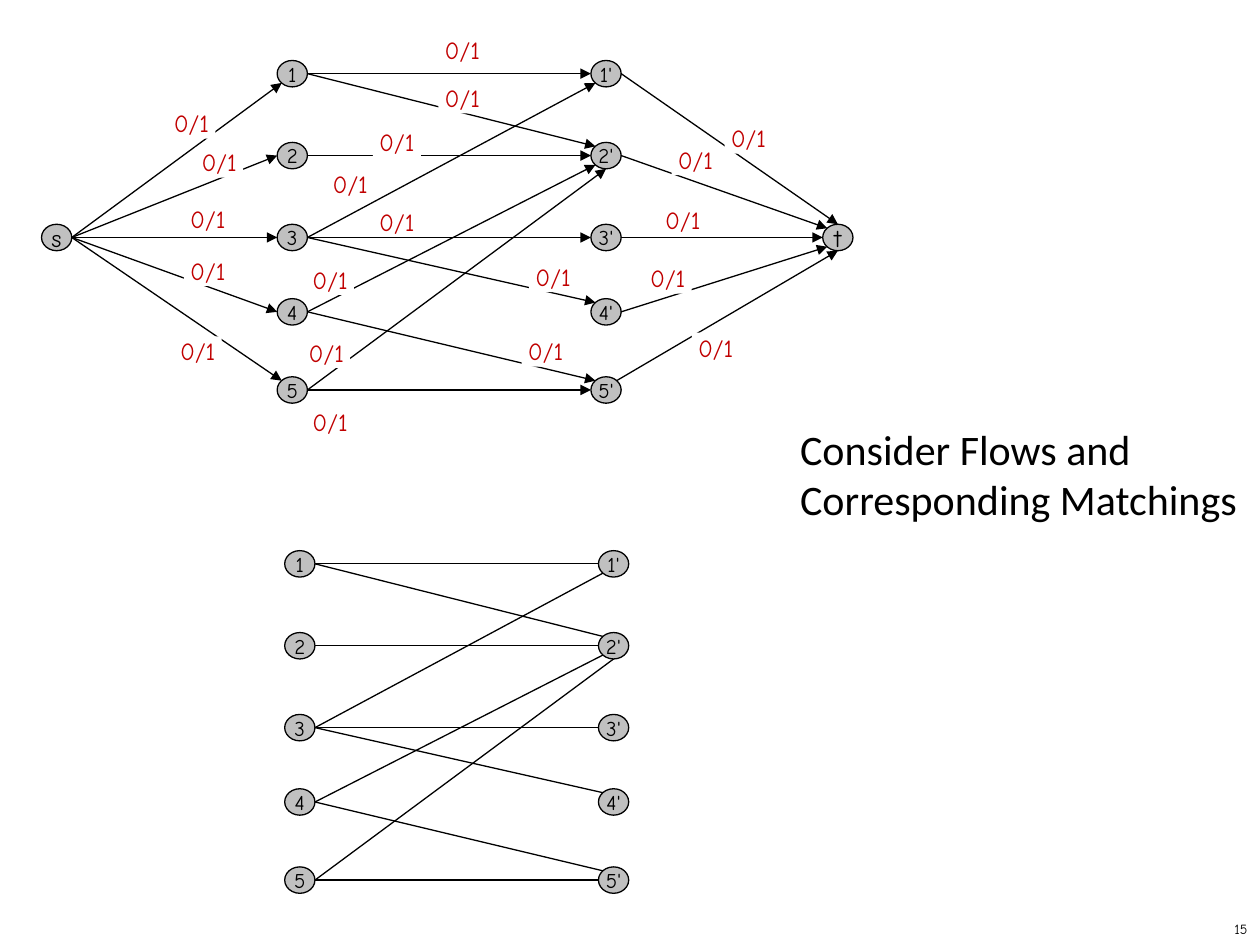
from pptx import Presentation
from pptx.dml.color import RGBColor
from pptx.enum import shapes as es, text as et
from pptx.oxml import parse_xml
from pptx.oxml.ns import nsdecls, qn
from pptx.util import Inches, Pt

BLACK = RGBColor(0, 0, 0)
WHITE = RGBColor(255, 255, 255)
GREY = RGBColor(0xC0, 0xC0, 0xC0)
RED = RGBColor(0xC0, 0, 0)
HAND, SANS = "Comic Neue", "Calibri"

NODE_W, NODE_H = 0.24, 0.21
ROWS = [0, 0.65, 1.3, 1.89, 2.51]
GAP = 2.49
# Points on a node's rim, as shares of its width and height
RIM = {"top": (0.5, 0), "left": (0, 0.5), "base": (0.5, 1), "right": (1, 0.5),
       "upleft": (0.15, 0.15), "lowleft": (0.15, 0.85), "upright": (0.85, 0.15)}

# From, to, and the rim point where the edge arrives
PAIRS = [("1", "1'", "left"), ("1", "2'", "upleft"), ("2", "2'", "left"),
         ("3", "1'", "lowleft"), ("3", "3'", "left"), ("3", "4'", "upleft"),
         ("4", "2'", "lowleft"), ("4", "5'", "upleft"),
         ("5", "2'", "base"), ("5", "5'", "left")]
OUTER = [("s", "1", "lowleft"), ("s", "2", "left"), ("s", "3", "left"),
         ("s", "4", "left"), ("s", "5", "upleft"),
         ("1'", "t", "top"), ("2'", "t", "upleft"), ("3'", "t", "left"),
         ("4'", "t", "lowleft"), ("5'", "t", "base", "upright")]

# Left and top of each flow label, from the corner of the network
LABELS = [(1.0, 0.38), (1.22, 0.69), (1.13, 1.14), (1.13, 1.55), (1.05, 2.19),
          (3.15, -0.2), (3.15, 0.18), (2.63, 0.53), (2.26, 0.86), (2.63, 1.16),
          (2.1, 1.62), (2.07, 2.2), (2.1, 2.75), (3.87, 1.6), (3.81, 2.19),
          (5.42, 0.5), (5.0, 0.67), (4.9, 1.15), (4.78, 1.61), (5.16, 2.16)]


def write(frame, words, size, font, color, align):
    """Put words in a frame, in one style."""
    frame.text = words
    for par in frame.paragraphs:
        par.alignment = align
        par.font.size = Pt(size)
        par.font.name = font
        par.font.color.rgb = color


def add_node(parts, name, left, top, size=12):
    """Draw a named node and return its corner."""
    node = parts.add_shape(es.MSO_SHAPE.OVAL, Inches(left), Inches(top),
                           Inches(NODE_W), Inches(NODE_H))
    node.shadow.inherit = False
    node.fill.solid()
    node.fill.fore_color.rgb = GREY
    node.line.color.rgb = BLACK
    node.line.width = Pt(0.75)
    frame = node.text_frame
    frame.word_wrap = False
    frame.vertical_anchor = et.MSO_ANCHOR.MIDDLE
    write(frame, name, size, HAND, BLACK, et.PP_ALIGN.CENTER)
    return left, top


def rim(corner, side):
    """Give the point on one side of the node at a corner."""
    across, down = RIM[side]
    return (Inches(corner[0] + across * NODE_W),
            Inches(corner[1] + down * NODE_H))


def add_edge(parts, nodes, tail, head, end, start="right", arrow=False):
    """Join two nodes by a line, with an arrowhead if asked."""
    edge = parts.add_connector(es.MSO_CONNECTOR.STRAIGHT,
                               *rim(nodes[tail], start), *rim(nodes[head], end))
    edge.line.color.rgb = BLACK
    edge.line.width = Pt(0.75)
    props = edge._element.spPr
    if arrow:
        props.find(qn("a:ln")).append(
            parse_xml(f'<a:tailEnd {nsdecls("a")} type="triangle"/>'))
    props.append(parse_xml(f'<a:effectLst {nsdecls("a")}/>'))


def add_sides(parts, left, top):
    """Draw the two columns of nodes and return their corners by name."""
    nodes = {}
    for row, drop in enumerate(ROWS, 1):
        for col, mark in enumerate(("", "'")):
            name = f"{row}{mark}"
            nodes[name] = add_node(parts, name, left + col * GAP, top + drop)
    return nodes


def add_label(parts, left, top):
    """Place one flow label on a white ground."""
    box = parts.add_textbox(Inches(left), Inches(top), Inches(0.38), Inches(0.24))
    box.fill.solid()
    box.fill.fore_color.rgb = WHITE
    frame = box.text_frame
    frame.word_wrap = True
    frame.margin_left = frame.margin_right = 0
    frame.margin_top = frame.margin_bottom = 0
    write(frame, "0/1", 14, HAND, RED, et.PP_ALIGN.CENTER)


def add_network(slide, left, top):
    """Draw the flow network from s to t, with its labels."""
    parts = slide.shapes.add_group_shape().shapes
    nodes = add_sides(parts, left + 1.87, top)
    for name, shift in (("s", 0), ("t", 6.2)):
        nodes[name] = add_node(parts, name, left + shift, top + ROWS[2], 14)
    for edge in PAIRS + OUTER:
        add_edge(parts, nodes, *edge, arrow=True)
    for across, down in LABELS:
        add_label(slide.shapes, left + across, top + down)


def add_matching(slide, left, top):
    """Draw the plain two-sided graph."""
    nodes = add_sides(slide.shapes, left, top)
    for edge in PAIRS:
        add_edge(slide.shapes, nodes, *edge)


def add_title(slide, left, top, width, height):
    """Place and format the title."""
    title = slide.shapes.title
    title.left, title.top = Inches(left), Inches(top)
    title.width, title.height = Inches(width), Inches(height)
    frame = title.text_frame
    frame.word_wrap = True
    frame.auto_size = et.MSO_AUTO_SIZE.NONE
    frame.vertical_anchor = et.MSO_ANCHOR.TOP
    write(frame, "Consider Flows and \vCorresponding Matchings", 24, SANS,
          BLACK, et.PP_ALIGN.LEFT)


def add_number(slide, left, top, width, height):
    """Place the slide number."""
    box = slide.shapes.add_textbox(Inches(left), Inches(top),
                                   Inches(width), Inches(height))
    frame = box.text_frame
    frame.word_wrap = True
    frame.vertical_anchor = et.MSO_ANCHOR.MIDDLE
    write(frame, "15", 8, HAND, BLACK, et.PP_ALIGN.RIGHT)


def main():
    """Build and save the slide."""
    deck = Presentation()
    deck.slide_width, deck.slide_height = Inches(10), Inches(7.5)
    slide = deck.slides.add_slide(deck.slide_layouts[5])
    add_number(slide, 7.92, 7.25, 2.08, 0.25)
    add_title(slide, 6.25, 3.31, 3.92, 0.91)
    add_network(slide, 0.33, 0.48)
    add_matching(slide, 2.26, 4.37)
    deck.save("out.pptx")


main()
